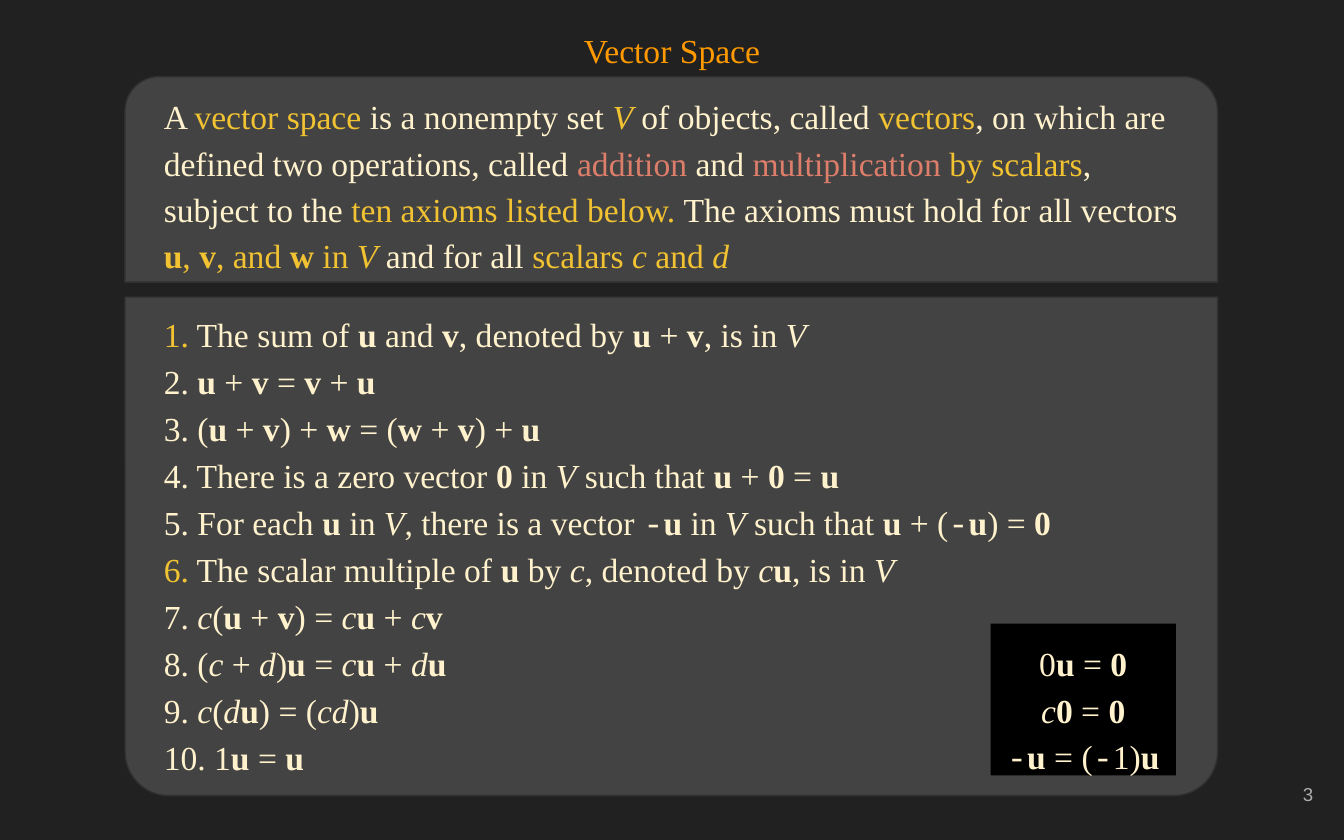
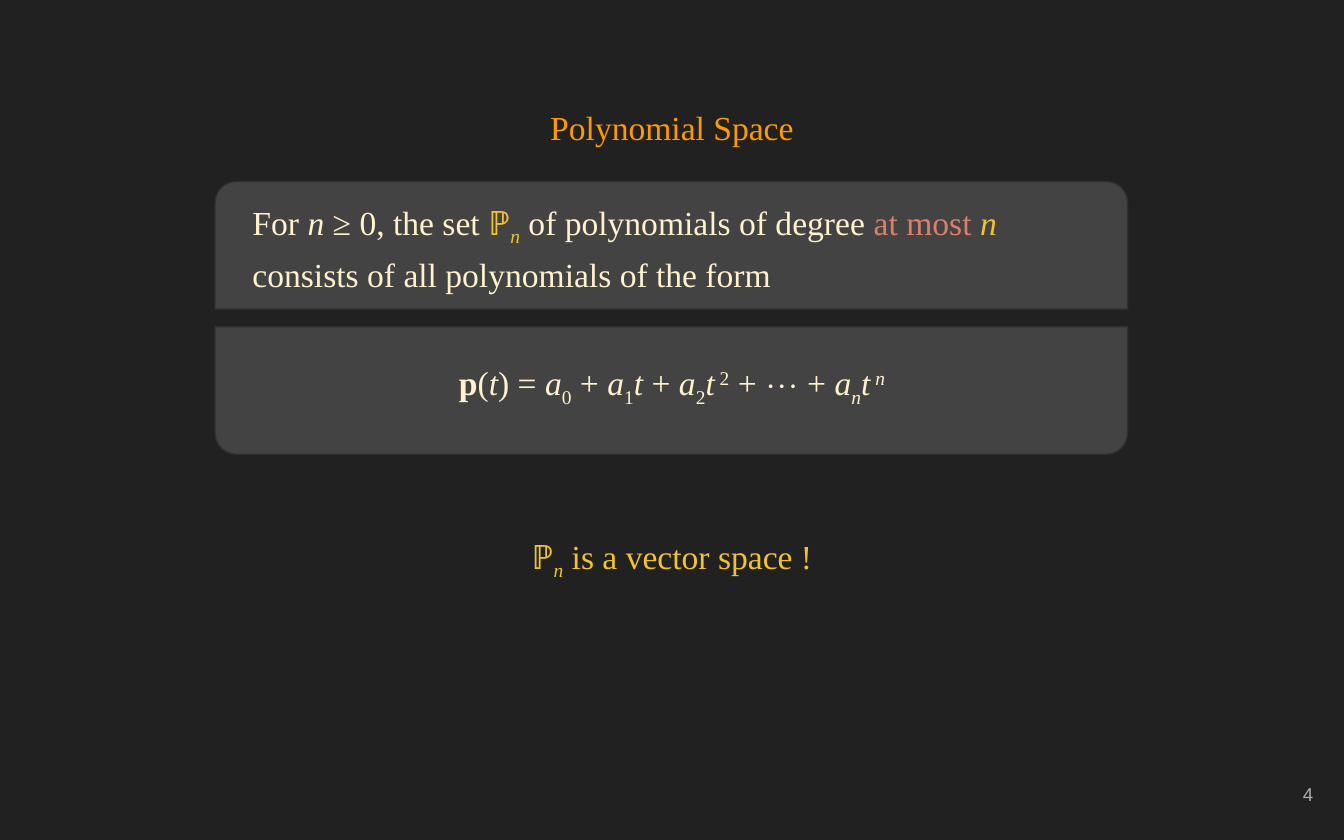
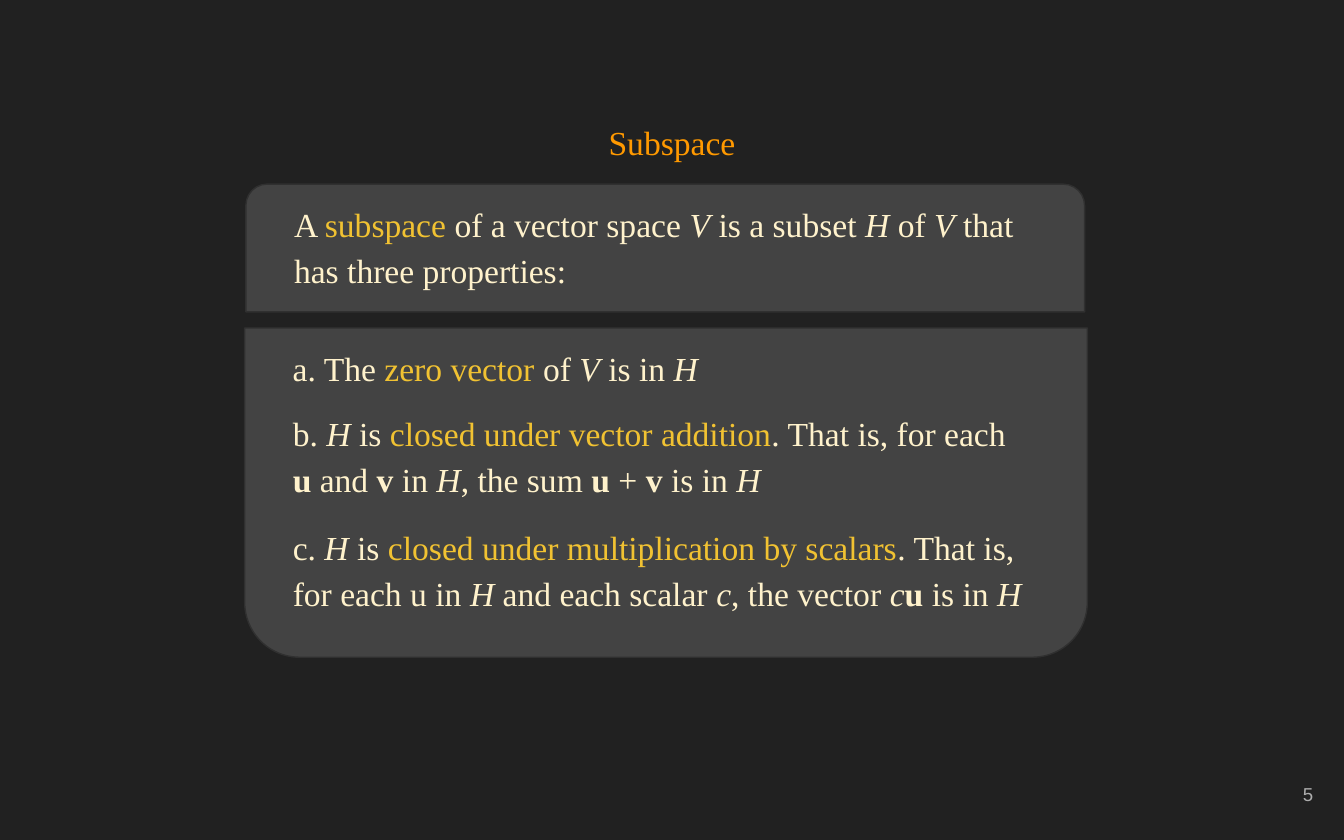
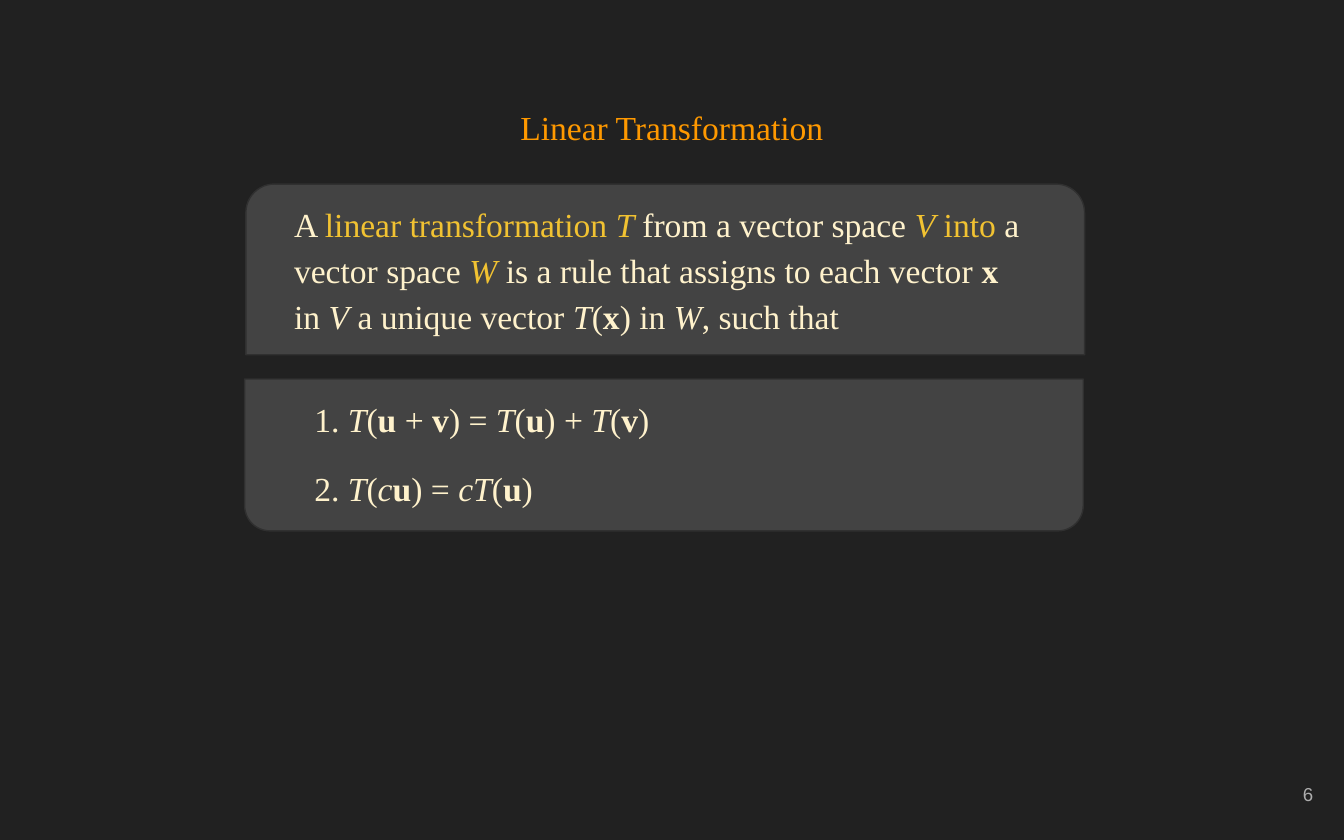
from itertools import groupby

from lxml import etree
from pptx import Presentation
from pptx import util as u
from pptx.dml.color import RGBColor
from pptx.enum import shapes, text
from pptx.oxml import ns

CELL = u.Inches(0.1)
COLUMNS, ROWS = 100, 62.5
BACKGROUND, PANEL, EDGE = "212121", "434343", "303030"
ORANGE, CREAM, YELLOW, CORAL, GREY = "FF9900", "FFF2CC", "F1C232", "DD7E6B", "ADADAD"
SERIF, SANS, MONO = "Times New Roman", "Arial", "Courier New"
LEFT, CENTER, RIGHT = text.PP_ALIGN.LEFT, text.PP_ALIGN.CENTER, text.PP_ALIGN.RIGHT
TOP, MIDDLE = text.MSO_ANCHOR.TOP, text.MSO_ANCHOR.MIDDLE
COLOUR_MARKS = {"[": YELLOW, "]": None, "<": CORAL, ">": None}
STYLE_MARKS = {"*": "bold", "_": "italic", "~": "sub", "^": "super"}
BASELINES = {"sub": "-25000", "super": "30000"}

AXIOMS = [
    "[1.] The sum of *u* and *v*, denoted by *u* + *v*, is in _V_",
    "2. *u* + *v* = *v *+ *u*",
    "3. (*u* + *v*) +* w* = (*w* + *v*) + *u*",
    "4. There is a zero vector *0* in _V_ such that *u* + *0* = *u*",
    "5. For each *u* in _V_, there is a vector -*u* in _V_ such that *u* + (-*u*) = *0*",
    "[6.] The scalar multiple of *u* by _c_, denoted by _c_*u*, is in _V_",
    "7. _c_(*u* + *v*) = _c_*u* + _c_*v*",
    "8. (_c_ + _d_)*u* = _c_*u* + _d_*u*",
    "9. _c_(_d_*u*) = (_cd_)*u*",
    "10. 1*u* = *u*",
]


def rgb(value):
    return RGBColor.from_string(value)


def cells(*grid):
    return [u.Emu(round(length * CELL)) for length in grid]


def styled_characters(markup, colour):
    current, active = colour, frozenset()
    for char in markup:
        if char in COLOUR_MARKS:
            current = COLOUR_MARKS[char] or colour
        elif char in STYLE_MARKS:
            active = active ^ {STYLE_MARKS[char]}
        else:
            yield char, (current, active, char == "-")


def write_paragraph(para, markup, colour=CREAM, size=18, font=SERIF, align=LEFT, spacing=1.15):
    para.alignment = align
    para.line_spacing = spacing
    for style, group in groupby(styled_characters(markup, colour), key=lambda item: item[1]):
        shade, active, minus = style
        span = para.add_run()
        span.text = "".join(char for char, _ in group)
        span.font.size = u.Pt(size)
        span.font.color.rgb = rgb(shade)
        span.font.bold = "bold" in active
        span.font.italic = "italic" in active
        span.font.name = MONO if minus else font
        properties = span.font._element
        for script in ("a:ea", "a:cs"):
            etree.SubElement(properties, ns.qn(script)).set("typeface", span.font.name)
        for name in active & BASELINES.keys():
            properties.set("baseline", BASELINES[name])


def fill_frame(box, lines, anchor=TOP, top_inset=1, **style):
    frame = box.text_frame
    frame.word_wrap = True
    frame.auto_size = text.MSO_AUTO_SIZE.NONE
    frame.vertical_anchor = anchor
    frame.margin_left = frame.margin_right = frame.margin_bottom = CELL
    frame.margin_top = top_inset * CELL
    for index, line in enumerate(lines):
        para = frame.add_paragraph() if index else frame.paragraphs[0]
        write_paragraph(para, line, **style)


def add_text(parent, grid, *lines, **style):
    fill_frame(parent.shapes.add_textbox(*cells(*grid)), lines, **style)


def add_panel(parent, grid, rounding=0.167, flipped=False):
    panel = parent.shapes.add_shape(shapes.MSO_SHAPE.ROUND_2_SAME_RECTANGLE, *cells(*grid))
    panel.adjustments[0] = rounding
    panel.adjustments[1] = 0
    panel.rotation = 180 if flipped else 0
    panel.shadow.inherit = False
    panel.fill.solid()
    panel.fill.fore_color.rgb = rgb(PANEL)
    panel.line.color.rgb = rgb(EDGE)
    panel.line.width = u.Pt(0.75)


def add_definition(page, panel_grid, text_grid, markup):
    group = page.shapes.add_group_shape()
    add_panel(group, panel_grid)
    add_text(group, text_grid, markup)


def add_results(page, grid, *lines):
    box = page.shapes.add_shape(shapes.MSO_SHAPE.RECTANGLE, *cells(*grid))
    box.shadow.inherit = False
    box.fill.solid()
    box.fill.fore_color.rgb = rgb("000000")
    box.line.fill.background()
    fill_frame(box, lines, align=CENTER)


def add_page(deck, title, title_row, number):
    page = deck.slides.add_slide(deck.slide_layouts.get_by_name("Title Only"))
    heading = page.shapes.title
    heading.left, heading.top, heading.width, heading.height = cells(3.4, title_row, 93.2, 4.8)
    fill_frame(heading, [title], colour=ORANGE, align=CENTER)
    heading.text_frame.paragraphs[0].space_after = u.Pt(16)
    add_text(page, (92.7, 56.7, 6, 4.8), str(number), anchor=MIDDLE,
             colour=GREY, size=10, font=SANS, align=RIGHT, spacing=1)
    return page


def vector_space(deck):
    page = add_page(deck, "Vector Space", 0.8, 3)
    add_panel(page, (9.3, 22.1, 81.3, 37.1), rounding=0.088, flipped=True)
    add_definition(
        page, (9.3, 5.7, 81.3, 15.3), (11.2, 5.7, 77.5, 14.5),
        "A [vector space] is a nonempty set [_V_] of objects, called [vectors], on which are "
        "defined two operations, called <addition >and <multiplication >[by scalars], subject to "
        "the [ten axioms listed below.] The axioms must hold for all vectors "
        "[*u*, *v*, and *w* in _V_] and for all [scalars _c_ and _d_]")
    for row, axiom in enumerate(AXIOMS):
        add_text(page, (11.2, 21.9 + 3.5 * row, 77.5, 5.4), axiom)
    add_results(page, (73.7, 46.4, 13.8, 11.3),
                "0*u* = *0*", "_c_*0* = *0*", "-*u* = (-1)*u*")


def polynomial_space(deck):
    page = add_page(deck, "Polynomial Space", 6.5, 4)
    add_panel(page, (16, 24.3, 67.9, 9.5), flipped=True)
    add_definition(
        page, (16, 13.5, 67.9, 9.5), (17.8, 13.5, 64.5, 9.5),
        "For _n_ ≥ 0, the set [ℙ_~n~_] of polynomials of degree <at most >[_n_] "
        "consists of all polynomials of the form")
    add_text(page, (19.5, 25.5, 61, 5.8),
             "*p*(_t_) = _a_~0~ + _a_~1~_t_ + _a_~2~_t_^ 2^ + ⋯ + _a~n~t^ n^_",
             anchor=MIDDLE, align=CENTER)
    add_text(page, (33.6, 37.4, 32.8, 7.8), "ℙ_~n~_ is a vector space !",
             anchor=MIDDLE, align=CENTER, colour=YELLOW)


def subspace(deck):
    page = add_page(deck, "Subspace", 7.6, 5)
    add_panel(page, (18.2, 24.4, 62.7, 24.5), flipped=True)
    add_definition(
        page, (18.3, 13.7, 62.4, 9.5), (20.9, 13.7, 56, 9.5),
        "A [subspace ]of a vector space _V_ is a subset _H_ of _V_ that has three properties:")
    add_text(page, (20.8, 25.9, 61, 5.1), "a. The [zero vector] of _V_ is in _H_",
             top_inset=0, spacing=1)
    add_text(page, (20.8, 29.4, 56.5, 8.6),
             "b. _H_ is [closed under vector addition]. That is, for each *u* and *v* in _H_, "
             "the sum *u* + *v* is in _H_", anchor=MIDDLE)
    add_text(page, (20.8, 38.1, 58.1, 8.2),
             "c. _H_ is [closed under multiplication by scalars]. That is, for each u in _H_ "
             "and each scalar _c_, the vector _c_*u* is in _H_", anchor=MIDDLE)


def linear_transformation(deck):
    page = add_page(deck, "Linear Transformation", 6.5, 6)
    add_panel(page, (18.2, 28.2, 62.4, 11.3), flipped=True)
    add_definition(
        page, (18.3, 13.7, 62.4, 12.7), (20.9, 13.7, 56, 12.7),
        "A [linear transformation _T _]from a vector space [_V_ into] a vector space [_W_] is a "
        "rule that assigns to each vector *x* in _V_ a unique vector _T_(*x*) in _W_, such that")
    add_text(page, (22.4, 29.7, 56.9, 5.1), "1. _T_(*u *+ *v*) = _T_(*u*) + _T_(*v*)",
             top_inset=0, spacing=1)
    add_text(page, (22.4, 33.2, 56.5, 5.8), "2. _T_(_c_*u*) = _cT_(*u*)", anchor=MIDDLE)


def main():
    deck = Presentation()
    deck.slide_width, deck.slide_height = cells(COLUMNS, ROWS)
    backdrop = deck.slide_master.background.fill
    backdrop.solid()
    backdrop.fore_color.rgb = rgb(BACKGROUND)
    for build in (vector_space, polynomial_space, subspace, linear_transformation):
        build(deck)
    deck.save("out.pptx")


if __name__ == "__main__":
    main()
